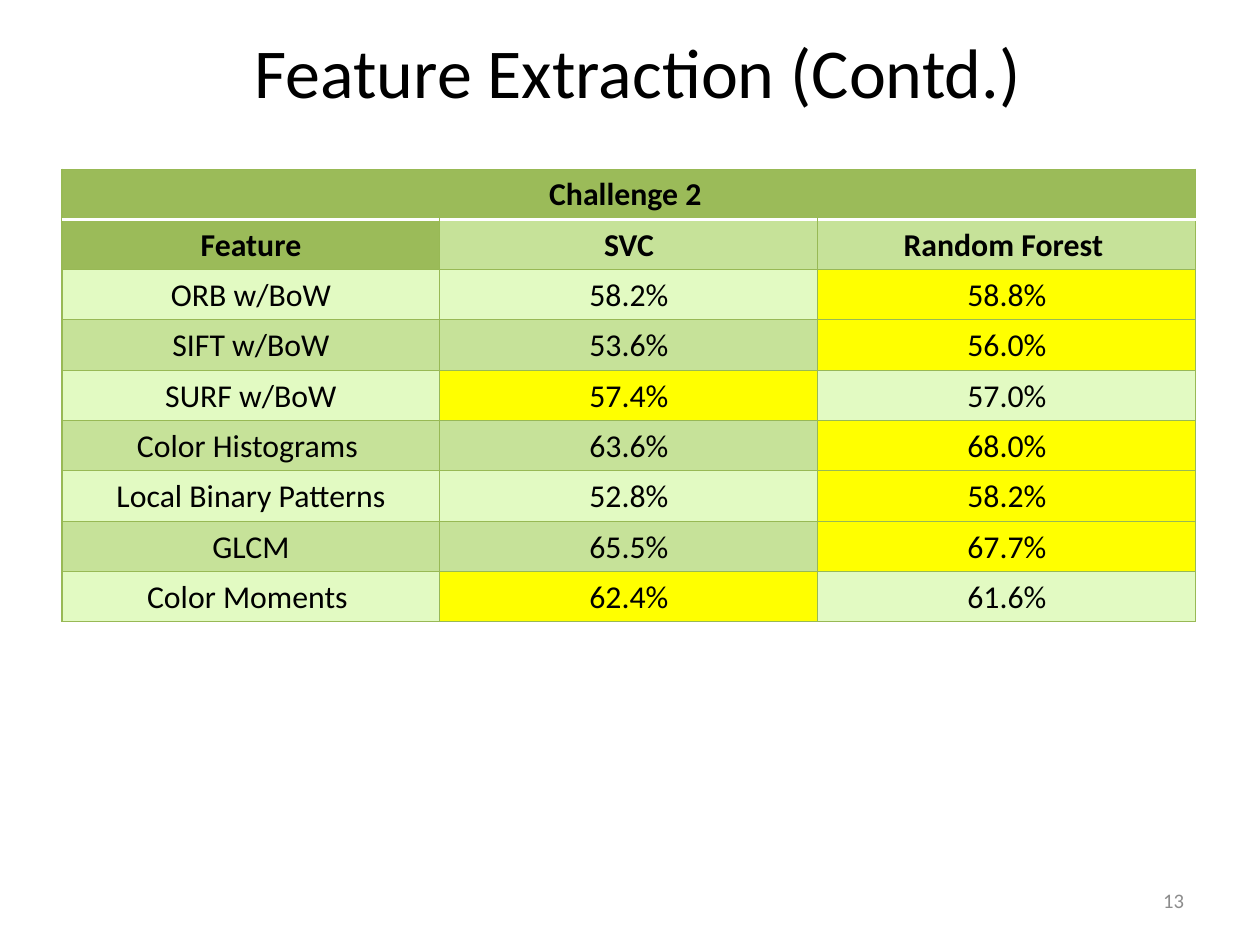
from dataclasses import dataclass

from lxml import etree
from pptx import Presentation
from pptx.dml.color import RGBColor
from pptx.enum.text import MSO_ANCHOR, PP_ALIGN
from pptx.oxml.ns import qn
from pptx.util import Pt

CENTER, RIGHT = PP_ALIGN.CENTER, PP_ALIGN.RIGHT
MIDDLE, TOP = MSO_ANCHOR.MIDDLE, MSO_ANCHOR.TOP
TITLE_ONLY = 5
EMU_PER_PX = 8000
SLIDE_SIZE = (10080625, 7559675)


@dataclass(frozen=True)
class Theme:
    font: str = "Calibri"
    title_size: float = 44.1
    table_size: float = 20
    number_size: float = 13
    ink: str = "000000"
    muted: str = "8C8C8C"
    heading: str = "9BBB59"
    band: str = "C6E299"
    pale: str = "E2FAC2"
    winner: str = "FFFF00"
    grid: str = "98B955"
    divider: str = "FFFFFF"


THEME = Theme()
CAPTION = "Challenge 2 "
HEADINGS = ("Feature", "SVC", "Random Forest ")
ACCURACIES = (
    ("ORB w/BoW", 58.2, 58.8),
    ("SIFT w/BoW", 53.6, 56.0),
    ("SURF w/BoW", 57.4, 57.0),
    ("Color Histograms ", 63.6, 68.0),
    ("Local Binary Patterns", 52.8, 58.2),
    ("GLCM", 65.5, 67.7),
    ("Color Moments ", 62.4, 61.6),
)


def px(length):
    return length * EMU_PER_PX


def write(frame, text, size, color=THEME.ink, bold=False, align=CENTER,
          spacing=None):
    paragraph = frame.paragraphs[0]
    paragraph.alignment = align
    paragraph.line_spacing = spacing
    run = paragraph.add_run()
    run.text = text
    run.font.name = THEME.font
    run.font.size = Pt(size)
    run.font.bold = bold
    run.font.color.rgb = RGBColor.from_string(color)


def set_up_frame(frame):
    frame.word_wrap = True
    frame.vertical_anchor = MIDDLE
    frame.margin_left = frame.margin_right = px(13)
    frame.margin_top = frame.margin_bottom = px(7)


def set_borders(cell, **overrides):
    """Draw the four sides; an override gives (color, points) for a side."""
    properties = cell._tc.get_or_add_tcPr()
    for index, side in enumerate(("lnL", "lnR", "lnT", "lnB")):
        color, points = overrides.get(side, (THEME.grid, 0.75))
        line = etree.Element(qn(f"a:{side}"), w=str(int(Pt(points))))
        fill = etree.SubElement(line, qn("a:solidFill"))
        etree.SubElement(fill, qn("a:srgbClr"), val=color)
        properties.insert(index, line)


def fill_cell(cell, text, fill, bold=False, **borders):
    if text:
        write(cell.text_frame, text, THEME.table_size, bold=bold,
              spacing=0.93)
    cell.vertical_anchor = TOP
    cell.margin_left = cell.margin_right = px(8)
    cell.margin_top, cell.margin_bottom = px(8), px(5)
    cell.fill.solid()
    cell.fill.fore_color.rgb = RGBColor.from_string(fill)
    set_borders(cell, **borders)


def add_title(slide, box, text):
    title = slide.shapes.title
    title.left, title.top, title.width, title.height = map(px, box)
    set_up_frame(title.text_frame)
    write(title.text_frame, text, THEME.title_size)


def add_accuracy_table(slide, box):
    columns = len(HEADINGS)
    table = slide.shapes.add_table(
        len(ACCURACIES) + 2, columns, *map(px, box)).table
    table.first_row = table.horz_banding = False

    for column in range(columns):
        fill_cell(table.cell(0, column), "" if column else CAPTION,
                  THEME.heading, bold=True, lnB=(THEME.divider, 2))
        fill_cell(table.cell(1, column), HEADINGS[column],
                  THEME.band if column else THEME.heading,
                  bold=True, lnT=(THEME.divider, 1))
    table.cell(0, 0).merge(table.cell(0, columns - 1))

    for row, (feature, *scores) in enumerate(ACCURACIES, start=2):
        shade = THEME.band if row % 2 else THEME.pale
        fill_cell(table.cell(row, 0), feature, shade)
        for column, score in enumerate(scores, start=1):
            fill_cell(table.cell(row, column), f"{score:.1f}%",
                      THEME.winner if score == max(scores) else shade)


def add_page_number(slide, box, number):
    label = slide.shapes.add_textbox(*map(px, box))
    set_up_frame(label.text_frame)
    write(label.text_frame, number, THEME.number_size, color=THEME.muted,
          align=RIGHT)


def main():
    deck = Presentation()
    deck.slide_width, deck.slide_height = SLIDE_SIZE
    slide = deck.slides.add_slide(deck.slide_layouts[TITLE_ONLY])
    add_title(slide, (71, 23, 1134, 94), "Feature Extraction (Contd.)")
    add_accuracy_table(slide, (62, 169, 1134, 453))
    add_page_number(slide, (903, 875, 294, 50), "13")
    deck.save("out.pptx")


if __name__ == "__main__":
    main()
